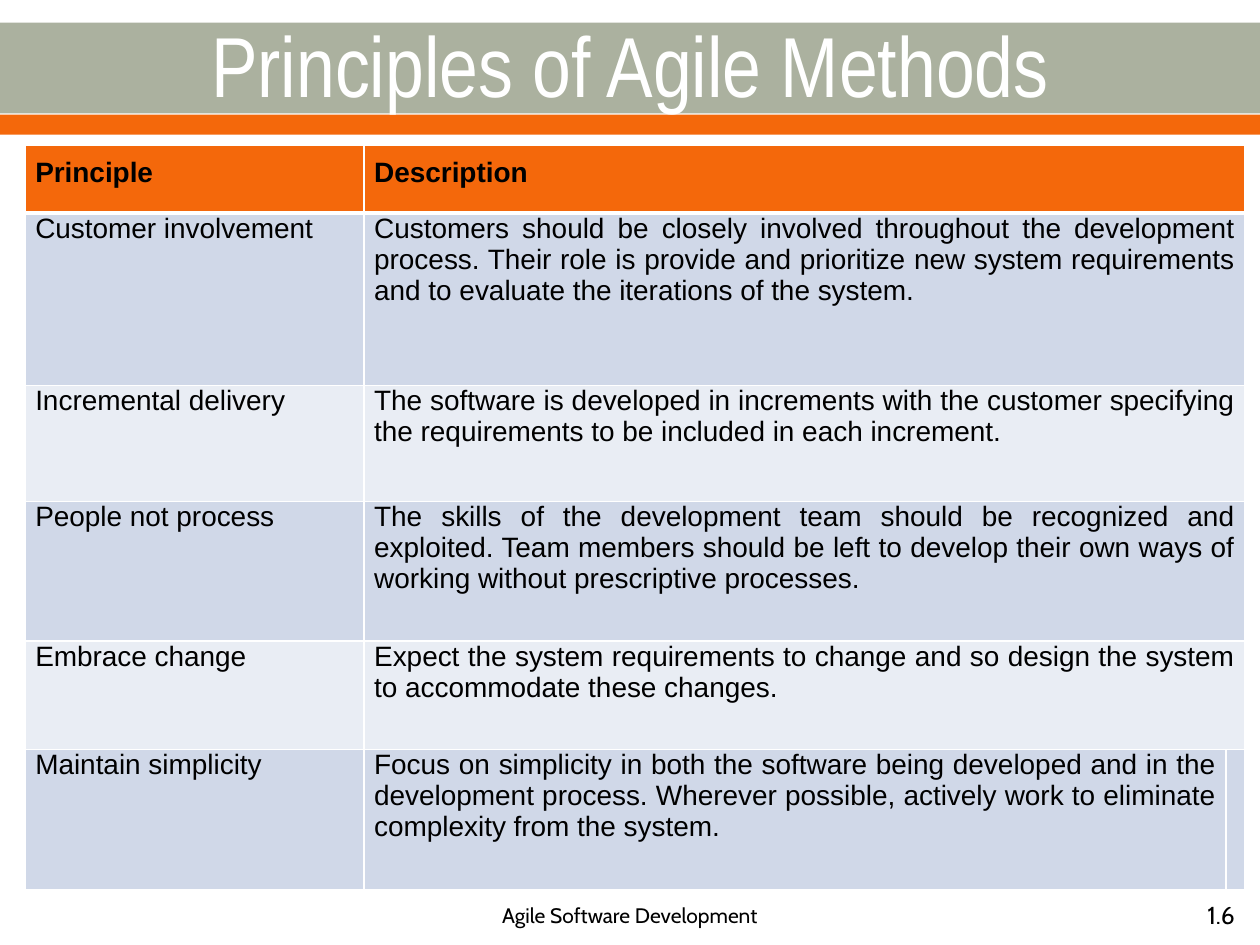
from dataclasses import dataclass

from lxml.etree import SubElement
from pptx import Presentation
from pptx.dml.color import RGBColor
from pptx.enum.shapes import MSO_SHAPE
from pptx.enum.text import MSO_ANCHOR, PP_ALIGN
from pptx.oxml.ns import qn
from pptx.util import Inches, Pt

WIDTH, HEIGHT = 10, 7.5
COLORS = {
    "sage": "ABB19F",
    "orange": "F4680B",
    "white": "FFFFFF",
    "black": "000000",
    "odd": "D0D8E8",
    "even": "E9EDF4",
}
COLUMNS = (2.69, 6.84, 0.15)
ROWS = (0.54, 1.37, 0.92, 1.11, 0.86, 1.11)


@dataclass(frozen=True)
class Area:
    left: float
    top: float
    width: float
    height: float

    def emu(self) -> tuple:
        return (
            Inches(self.left * WIDTH),
            Inches(self.top * HEIGHT),
            Inches(self.width * WIDTH),
            Inches(self.height * HEIGHT),
        )


@dataclass(frozen=True)
class Band:
    area: Area
    color: str


@dataclass(frozen=True)
class Label:
    text: str
    area: Area
    size: float
    font: str
    color: str
    align: PP_ALIGN


@dataclass(frozen=True)
class Principle:
    name: str
    description: str


BANDS = (
    Band(Area(0, 0.18 / HEIGHT, 1, 0.72 / HEIGHT), "sage"),
    Band(Area(0, 0.91 / HEIGHT, 1, 0.16 / HEIGHT), "orange"),
)
FOOTER_TOP, FOOTER_HEIGHT = 7.06 / HEIGHT, 0.4 / HEIGHT
LABELS = (
    Label("Principles of Agile Methods", Area(0, 0.19 / HEIGHT, 1, 0.62 / HEIGHT),
          48.6, "Arial Narrow", "white", PP_ALIGN.CENTER),
    Label("Agile Software Development", Area(0.34, FOOTER_TOP, 0.32, FOOTER_HEIGHT),
          12, "Cabin", "black", PP_ALIGN.CENTER),
    Label("1.6", Area(0.81, FOOTER_TOP, 0.18, FOOTER_HEIGHT),
          14, "Cabin", "black", PP_ALIGN.RIGHT),
)
PRINCIPLES = (
    Principle("Principle", "Description"),
    Principle("Customer involvement",
              "Customers should be closely involved throughout the development process. "
              "Their role is provide and prioritize new system requirements and to "
              "evaluate the iterations of the system."),
    Principle("Incremental delivery",
              "The software is developed in increments with the customer specifying "
              "the requirements to be included in each increment."),
    Principle("People not process",
              "The skills of the development team should be recognized and exploited. "
              "Team members should be left to develop their own ways of working "
              "without prescriptive processes."),
    Principle("Embrace change",
              "Expect the system requirements to change and so design the system to "
              "accommodate these changes."),
    Principle("Maintain simplicity",
              "Focus on simplicity in both the software being developed and in the "
              "development process. Wherever possible, actively work to eliminate "
              "complexity from the system."),
)


def rgb(color: str) -> RGBColor:
    return RGBColor.from_string(COLORS[color])


def style_paragraph(paragraph, size: float, font: str, color: str, align: PP_ALIGN) -> None:
    paragraph.alignment = align
    paragraph.font.size = Pt(size)
    paragraph.font.name = font
    paragraph.font.color.rgb = rgb(color)


def draw_band(slide, band: Band) -> None:
    bar = slide.shapes.add_shape(MSO_SHAPE.RECTANGLE, *band.area.emu())
    bar.shadow.inherit = False
    bar.fill.solid()
    bar.fill.fore_color.rgb = rgb(band.color)
    bar.line.fill.background()


def draw_label(slide, label: Label) -> None:
    frame = slide.shapes.add_textbox(*label.area.emu()).text_frame
    frame.word_wrap = True
    frame.vertical_anchor = MSO_ANCHOR.MIDDLE
    frame.text = label.text
    style_paragraph(frame.paragraphs[0], label.size, label.font, label.color, label.align)


def draw_borders(cell, top: float, bottom: float) -> None:
    properties = cell._tc.get_or_add_tcPr()
    for side, points in (("L", 1), ("R", 1), ("T", top), ("B", bottom)):
        border = SubElement(properties, qn(f"a:ln{side}"), w=str(Pt(points)))
        fill = SubElement(border, qn("a:solidFill"))
        SubElement(fill, qn("a:srgbClr"), val=COLORS["white"])


def draw_cell(cell, text: str, row: int) -> None:
    header = row == 0
    draw_borders(cell, 3 if row == 1 else 1, 3 if header else 1)
    cell.fill.solid()
    cell.fill.fore_color.rgb = rgb("orange" if header else "odd" if row % 2 else "even")
    cell.margin_left = cell.margin_right = Inches(0.08 if text else 0)
    cell.margin_top = Inches(0.1 if header else 0)
    cell.margin_bottom = Inches(0.1)
    cell.text = text
    paragraph = cell.text_frame.paragraphs[0]
    style_paragraph(paragraph, 16, "Arial", "black", PP_ALIGN.JUSTIFY)
    paragraph.font.bold = header


def draw_principles(slide) -> None:
    area = Area(0.02, 1.15 / HEIGHT, sum(COLUMNS) / WIDTH, sum(ROWS) / HEIGHT)
    table = slide.shapes.add_table(len(ROWS), len(COLUMNS), *area.emu()).table
    for column, width in zip(table.columns, COLUMNS):
        column.width = Inches(width)
    for index, (principle, height) in enumerate(zip(PRINCIPLES, ROWS)):
        table.rows[index].height = Inches(height)
        for column, text in enumerate((principle.name, principle.description, "")):
            draw_cell(table.cell(index, column), text, index)
        if index < len(ROWS) - 1:
            table.cell(index, 1).merge(table.cell(index, 2))


def main() -> None:
    deck = Presentation()
    deck.slide_width, deck.slide_height = Inches(WIDTH), Inches(HEIGHT)
    slide = deck.slides.add_slide(deck.slide_layouts[6])
    for band in BANDS:
        draw_band(slide, band)
    for label in LABELS:
        draw_label(slide, label)
    draw_principles(slide)
    deck.save("out.pptx")


if __name__ == "__main__":
    main()
